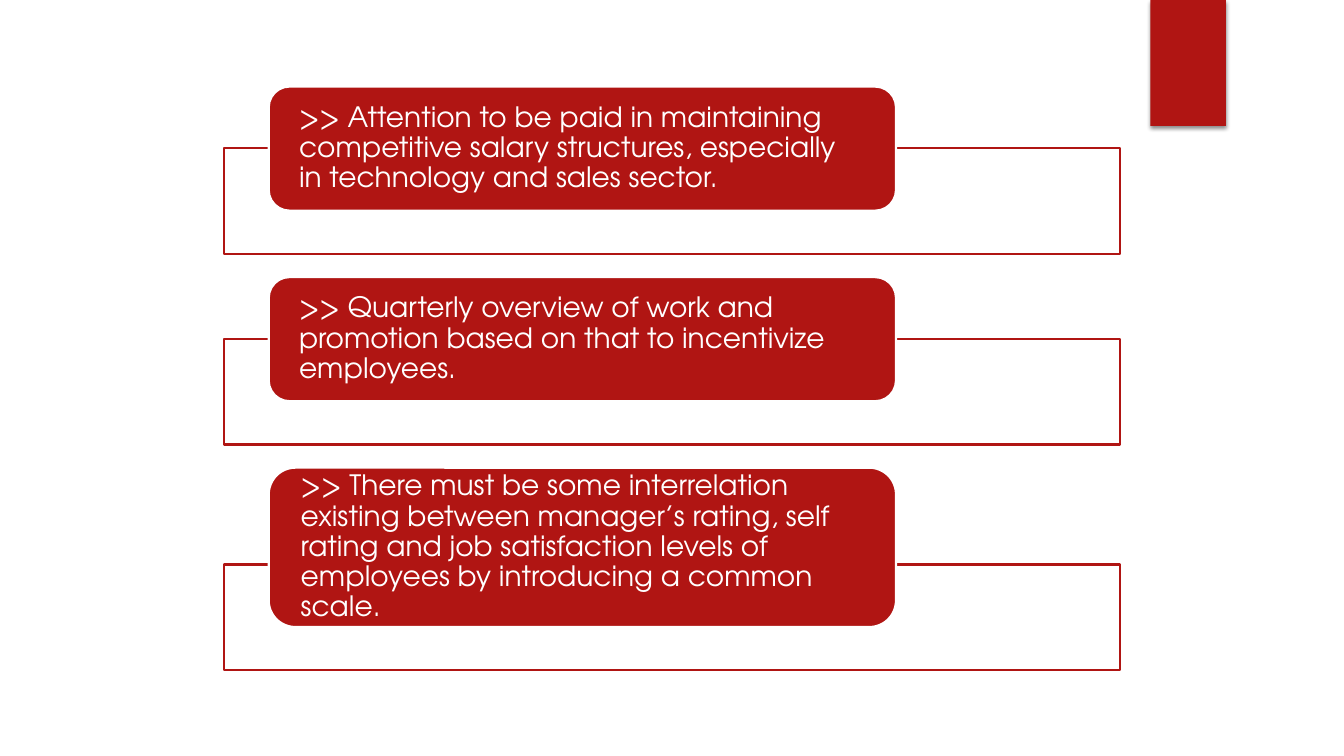
from dataclasses import dataclass
from lxml.etree import SubElement as Sub
from pptx import Presentation
from pptx.dml.color import RGBColor as Color
from pptx.enum.shapes import MSO_SHAPE as Kind
from pptx.enum.text import MSO_ANCHOR as Anchor, PP_ALIGN as Align
from pptx.oxml.ns import qn
from pptx.util import Inches, Pt


@dataclass
class Theme:
    red: str = "B01513"
    white: str = "FFFFFF"
    black: str = "000000"
    font: str = "TeX Gyre Adventor"
    size: float = 20
    line: float = 1.5


theme = Theme()
wide, high = 13.33, 7.5

deck = Presentation()
deck.slide_width, deck.slide_height = Inches(wide), Inches(high)
slide = deck.slides.add_slide(deck.slide_layouts[6])


def box(text="", kind=Kind.RECTANGLE, at=(0, 0, 1, 1), fill=theme.red, line=None):
    shape = slide.shapes.add_shape(kind, *map(Inches, at))
    shape.shadow.inherit = False
    shape.fill.solid()
    shape.fill.fore_color.rgb = Color.from_string(fill)
    if line:
        shape.line.color.rgb = Color.from_string(line)
        shape.line.width = Pt(theme.line)
    else:
        shape.line.fill.background()
    if text:
        frame = shape.text_frame
        frame.word_wrap = True
        frame.vertical_anchor = Anchor.MIDDLE
        frame.margin_left = frame.margin_right = Inches(0.24)
        frame.margin_top = frame.margin_bottom = 0
        para = frame.paragraphs[0]
        para.alignment = Align.LEFT
        para.line_spacing = 0.9
        run = para.add_run()
        run.text = text
        run.font.name = theme.font
        run.font.size = Pt(theme.size)
        run.font.color.rgb = Color.from_string(theme.white)
    return shape


tab = box(at=(11.41, 0, 0.75, high / 6))
glow = Sub(tab._element.spPr.find(qn("a:effectLst")), qn("a:outerShdw"),
           blurRad=str(Pt(3)), dist=str(Pt(2)), dir="5400000", rotWithShape="0")
shade = Sub(glow, qn("a:srgbClr"), val=theme.black)
Sub(shade, qn("a:alpha"), val="45000")

cards = [
    (">> Attention to be paid in maintaining competitive salary structures, "
     "especially in technology and sales sector.", 1.23),
    (">> Quarterly overview of work and promotion based on that to "
     "incentivize employees.", 1.23),
    (">> There must be some interrelation existing between manager’s rating, "
     "self rating and job satisfaction levels of employees by introducing a "
     "common scale.", 1.58),
]
top, lap, depth, gap = 0.86, 0.62, 1.05, 0.23

for text, tall in cards:
    edge = top + tall - lap
    panel = box(at=(wide / 6, edge, wide * 2 / 3, depth),
                fill=theme.white, line=theme.red)
    tint = panel._element.spPr.find(qn("a:solidFill")).find(qn("a:srgbClr"))
    Sub(tint, qn("a:alpha"), val="90000")
    box(text, kind=Kind.ROUNDED_RECTANGLE,
        at=(wide / 5, top, wide * 7 / 15, tall), line=theme.white)
    top = edge + depth + gap

deck.save("out.pptx")
